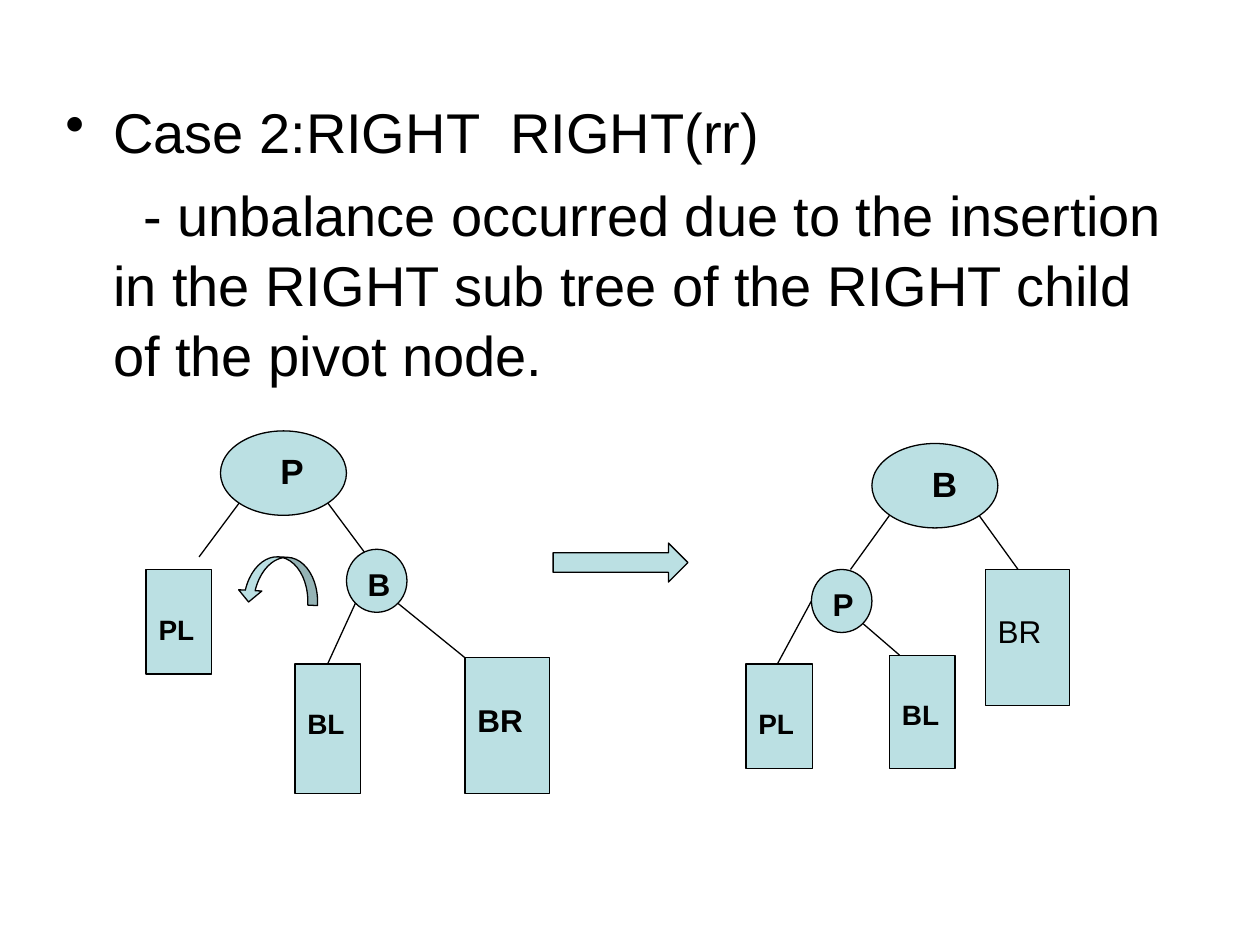
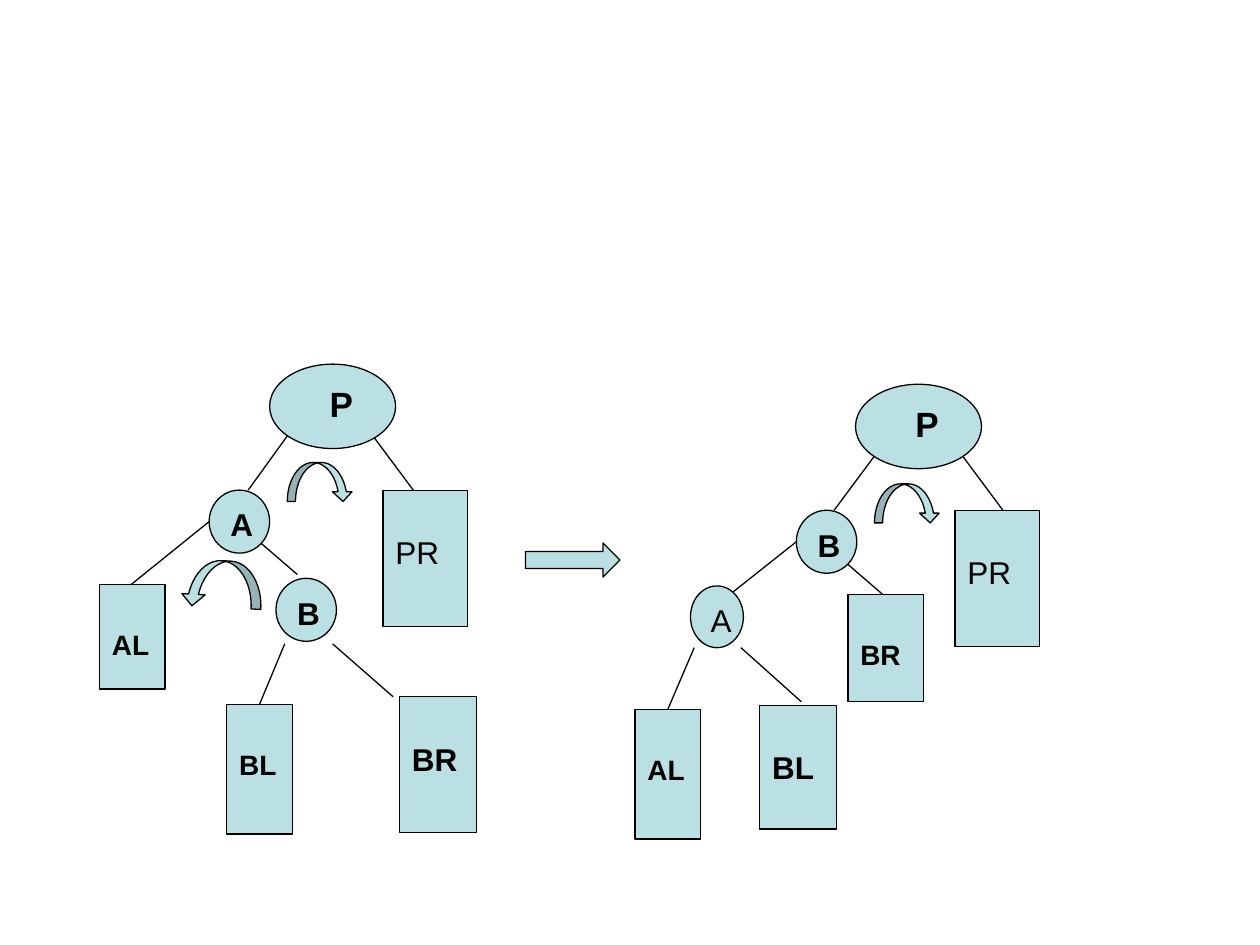
import pptx
import pptx.util
import pptx.dml.color
import pptx.enum.shapes
import pptx.enum.text
import pptx.oxml
import pptx.oxml.ns

Inches, Pt = pptx.util.Inches, pptx.util.Pt
SHAPE = pptx.enum.shapes.MSO_SHAPE
BLACK = pptx.dml.color.RGBColor(0x00, 0x00, 0x00)
TEAL = pptx.dml.color.RGBColor(0xBB, 0xE0, 0xE3)
FONT = "Arial"
LINE_WIDTH = Pt(0.75)

# Text margins from the left and the top for each kind of node
ROOT, CIRCLE, LEAF = "root", "circle", "leaf"
MARGINS = {ROOT: (0.33, 0.05), CIRCLE: (0.1, 0.05), LEAF: (0.1, 0.34)}


def add_filled(s, preset, x, y, w, h):
    sp = s.shapes.add_shape(preset, Inches(x), Inches(y), Inches(w), Inches(h))
    sp.shadow.inherit = False
    sp.fill.solid()
    sp.fill.fore_color.rgb = TEAL
    sp.line.color.rgb = BLACK
    sp.line.width = LINE_WIDTH
    return sp


def add_run(p, text, size, bold=False):
    r = p.add_run()
    r.text = text
    r.font.name = FONT
    r.font.size = Pt(size)
    r.font.bold = bold
    r.font.color.rgb = BLACK


# Nodes: kind, label, left, top, width, height, text size, bold
# Edges: from x, from y, to x, to y
# Turns: curved arrow preset, left, top, width, height, rotation
LEFT_TURN = (SHAPE.CURVED_UP_ARROW, 0.64, 0.37, 183)
RIGHT_TURN = (SHAPE.CURVED_DOWN_ARROW, 0.52, 0.31, 0)

right_right = {
    "edges": [
        (1.9, 3.99, 1.58, 4.42), (2.6, 3.99, 2.92, 4.42),
        (2.82, 4.79, 2.6, 5.27), (3.16, 4.79, 3.69, 5.22),
        (7.06, 4.09, 6.75, 4.52), (7.77, 4.09, 8.08, 4.52),
        (6.44, 4.77, 6.17, 5.27), (6.85, 4.95, 7.14, 5.2),
    ],
    "nodes": [
        (ROOT, "P", 1.75, 3.42, 1, 0.67, 20, True),
        (LEAF, "BR", 3.69, 5.22, 0.67, 1.08, 18, True),
        (LEAF, "PL", 1.16, 4.52, 0.52, 0.83, 16, True),
        (LEAF, "BL", 2.34, 5.27, 0.52, 1.03, 16, True),
        (CIRCLE, "B", 2.75, 4.36, 0.48, 0.5, 18, True),
        (ROOT, "B", 6.92, 3.52, 1, 0.67, 20, True),
        (CIRCLE, "P", 6.44, 4.52, 0.48, 0.5, 18, True),
        (LEAF, "BR", 7.82, 4.52, 0.67, 1.08, 18, False),
        (LEAF, "PL", 5.92, 5.27, 0.53, 0.83, 16, True),
        (LEAF, "BL", 7.06, 5.2, 0.52, 0.9, 16, True),
    ],
    "turns": [(LEFT_TURN, 1.89, 4.42)],
    "step": (4.39, 4.31, 1.07, 0.31),
}

double_rotation = {
    "edges": [
        (2.28, 3.46, 1.97, 3.89), (2.96, 3.46, 3.28, 3.89),
        (1.66, 4.14, 1.04, 4.64), (2.07, 4.31, 2.36, 4.56),
        (2.26, 5.11, 2.06, 5.59), (2.64, 5.11, 3.12, 5.53),
        (6.94, 3.62, 6.62, 4.05), (7.64, 3.62, 7.96, 4.05),
        (6.32, 4.3, 5.69, 4.8), (6.73, 4.48, 7.02, 4.73),
        (5.51, 5.14, 5.3, 5.63), (5.88, 5.14, 6.36, 5.57),
    ],
    "nodes": [
        (ROOT, "P", 2.14, 2.89, 1, 0.67, 20, True),
        (CIRCLE, "A", 1.66, 3.89, 0.48, 0.5, 18, True),
        (LEAF, "PR", 3.04, 3.89, 0.67, 1.08, 18, False),
        (LEAF, "AL", 0.79, 4.64, 0.52, 0.83, 16, True),
        (CIRCLE, "B", 2.19, 4.59, 0.48, 0.5, 18, True),
        (LEAF, "BR", 3.17, 5.53, 0.61, 1.08, 18, True),
        (LEAF, "BL", 1.8, 5.59, 0.52, 1.03, 16, True),
        (ROOT, "P", 6.79, 3.05, 1, 0.67, 20, True),
        (CIRCLE, "B", 6.32, 4.05, 0.48, 0.5, 18, True),
        (LEAF, "BR", 6.73, 4.72, 0.6, 0.85, 16, True),
        (LEAF, "PR", 7.58, 4.05, 0.67, 1.08, 18, False),
        (CIRCLE, "A", 5.48, 4.65, 0.42, 0.49, 18, False),
        (LEAF, "BL", 6.03, 5.6, 0.61, 0.98, 18, True),
        (LEAF, "AL", 5.04, 5.63, 0.52, 1.03, 16, True),
    ],
    "turns": [(RIGHT_TURN, 2.28, 3.67), (LEFT_TURN, 1.44, 4.45),
              (RIGHT_TURN, 6.94, 3.84)],
    "step": (4.17, 4.31, 0.75, 0.27),
}

prs = pptx.Presentation()
prs.slide_width, prs.slide_height = Inches(10), Inches(7.5)
blank = prs.slide_layouts[6]
slides = [prs.slides.add_slide(blank) for _ in range(2)]

# Case description on the first slide: text, first-line indent, space before
tf = slides[0].shapes.add_textbox(
    Inches(0.42), Inches(0.7), Inches(9), Inches(6.12)).text_frame
tf.word_wrap = True
lines = [
    ("Case 2:RIGHT  RIGHT(rr)", -0.38, 0),
    ("- unbalance occurred due to the insertion in the RIGHT sub tree "
     "of the RIGHT child of the pivot node.", 0.24, 8),
]
for i, (text, indent, before) in enumerate(lines):
    p = tf.paragraphs[0] if i == 0 else tf.add_paragraph()
    p.line_spacing = 1.04
    p.space_before = Pt(before)
    add_run(p, text, 32)
    pPr = p._p.get_or_add_pPr()
    pPr.set("marL", str(Inches(0.38)))
    pPr.set("indent", str(Inches(indent)))
    if i == 0:
        bullet = pptx.oxml.parse_xml(
            '<a:buChar %s char="•"/>' % pptx.oxml.ns.nsdecls("a"))
        pPr.append(bullet)

# Tree diagrams
for s, diagram in zip(slides, (right_right, double_rotation)):
    # Edges
    for edge in diagram["edges"]:
        c = s.shapes.add_connector(
            pptx.enum.shapes.MSO_CONNECTOR.STRAIGHT, *map(Inches, edge))
        c.line.color.rgb = BLACK
        c.line.width = LINE_WIDTH
        c._element.spPr.append(pptx.oxml.parse_xml(
            "<a:effectLst %s/>" % pptx.oxml.ns.nsdecls("a")))

    # Nodes and subtrees
    for kind, label, x, y, w, h, size, bold in diagram["nodes"]:
        preset = SHAPE.RECTANGLE if kind == LEAF else SHAPE.OVAL
        sp = add_filled(s, preset, x, y, w, h)
        tf = sp.text_frame
        tf.word_wrap = True
        tf.vertical_anchor = pptx.enum.text.MSO_ANCHOR.TOP
        left, top = MARGINS[kind]
        tf.margin_left, tf.margin_top = Inches(left), Inches(top)
        tf.margin_right, tf.margin_bottom = Inches(0.1), Inches(0.05)
        p = tf.paragraphs[0]
        p.alignment = pptx.enum.text.PP_ALIGN.LEFT
        add_run(p, label, size, bold)

    # Rotation arrows
    for (preset, w, h, angle), x, y in diagram["turns"]:
        sp = add_filled(s, preset, x, y, w, h)
        sp.rotation = angle
        sp.adjustments[0] = 0.21

    # Arrow from the tree before to the tree after
    add_filled(s, SHAPE.RIGHT_ARROW, *diagram["step"])

prs.save("out.pptx")
